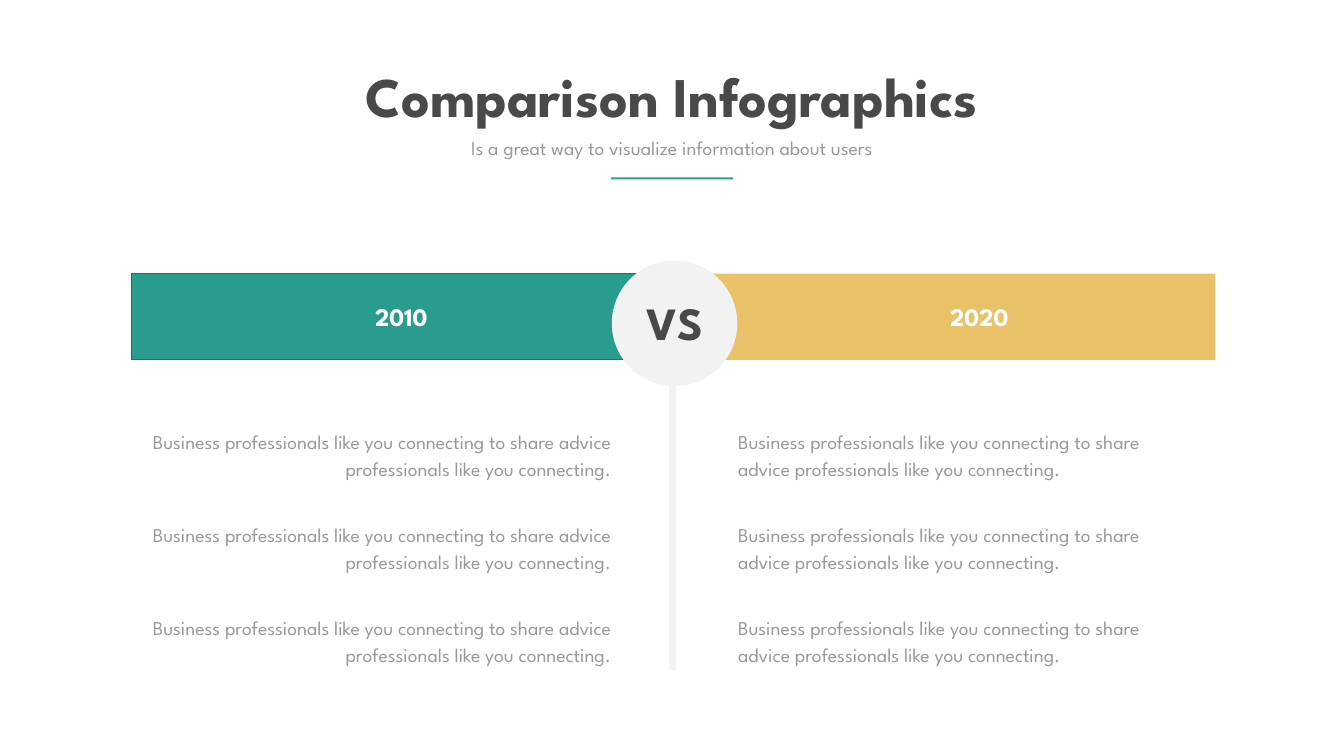
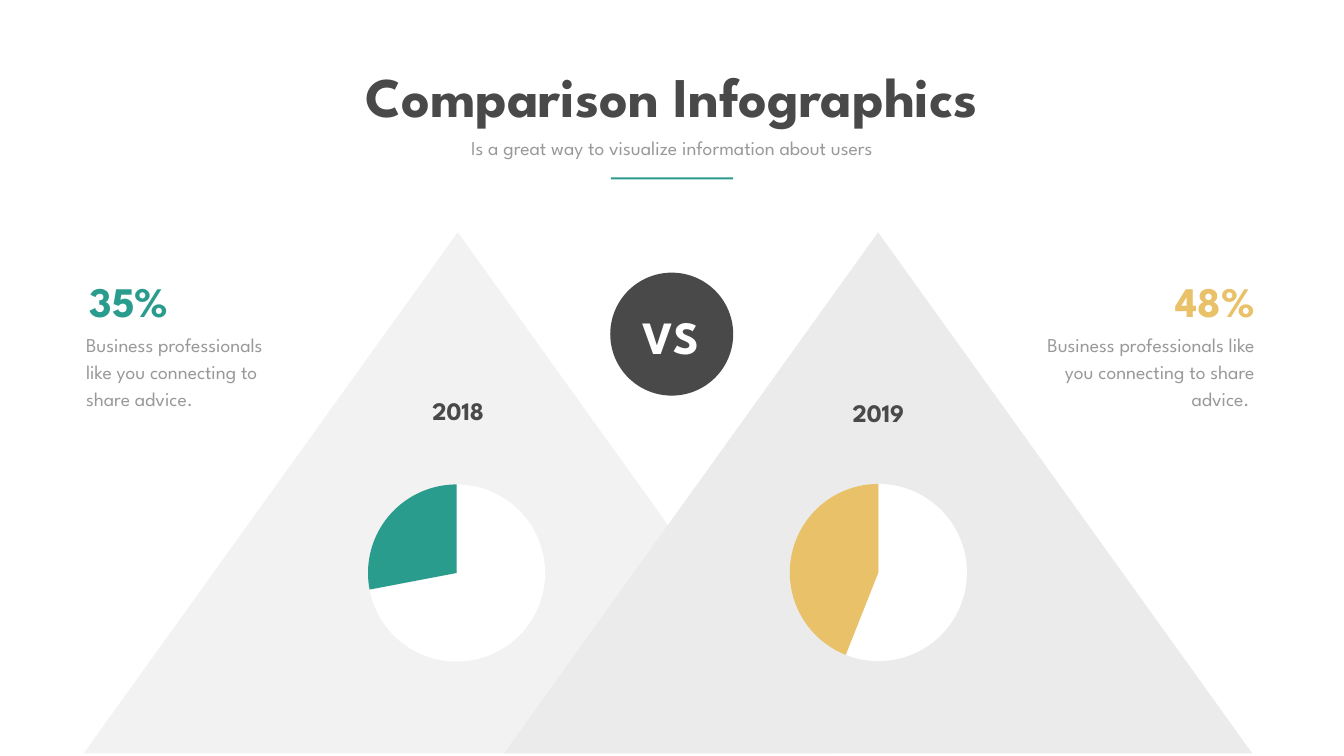
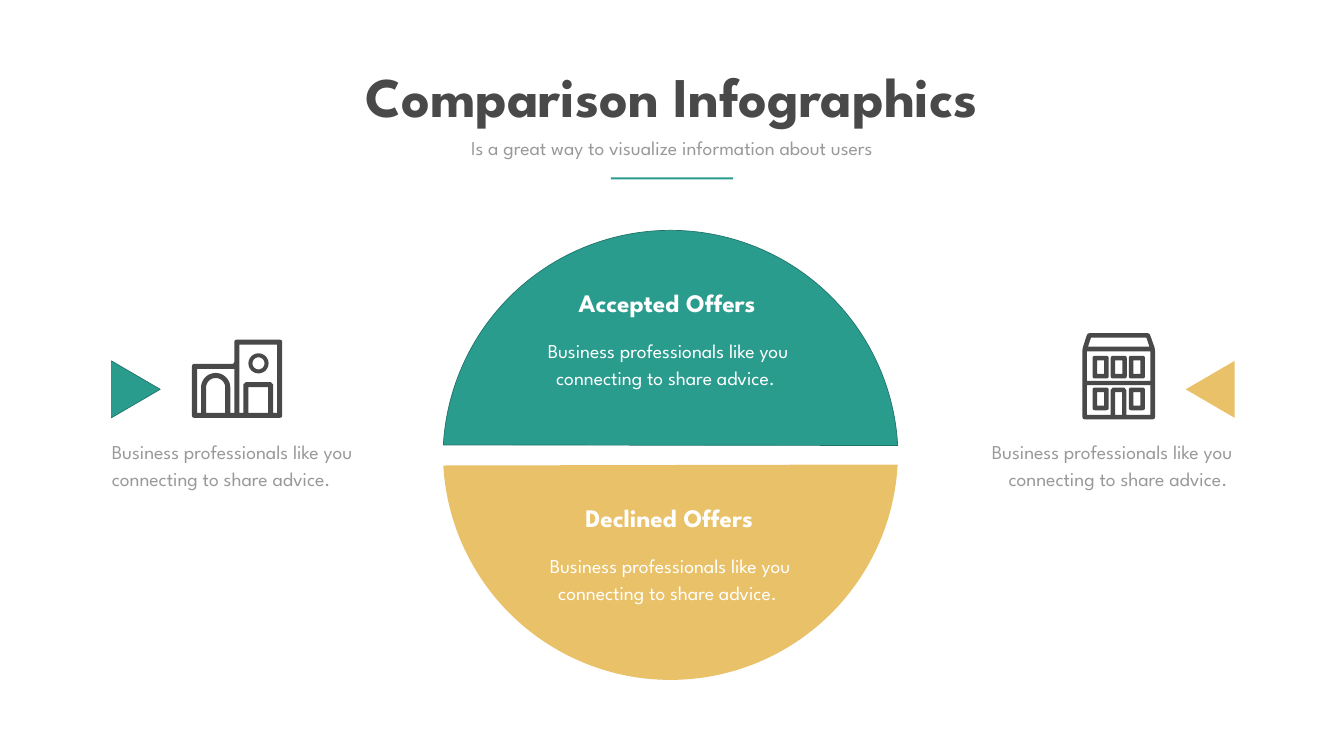
from math import cos, dist, radians, sin

from pptx import Presentation
from pptx.chart.data import CategoryChartData
from pptx.dml.color import RGBColor
from pptx.enum.chart import XL_CHART_TYPE as ChartType
from pptx.enum.shapes import MSO_CONNECTOR as Connector, MSO_SHAPE as Shape
from pptx.enum.text import MSO_ANCHOR as Anchor, MSO_AUTO_SIZE as AutoSize, PP_ALIGN as Align
from pptx.oxml import parse_xml
from pptx.oxml.ns import nsdecls
from pptx.util import Emu, Pt

PX = 9144  # EMU per px, 100 px to the inch
FONT = "League Spartan"
TEAL, DARK_TEAL, GOLD = "2A9C8E", "1F7369", "E9C169"
DARK, GREY, LIGHT, MIST, WHITE = "494949", "999999", "F2F2F2", "EBEBEB", "FFFFFF"
LEFT, CENTER, RIGHT = Align.LEFT, Align.CENTER, Align.RIGHT

OFFER = "Business professionals like you connecting to share advice."
ADVICE = ("Business professionals like you connecting to share advice "
          "professionals like you connecting.")


def px(*lengths):
    return [Emu(round(length * PX)) for length in lengths]


def color(code):
    return RGBColor.from_string(code)


def rectangle(left, top, right, bottom):
    return [(left, top), (right, top), (right, bottom), (left, bottom)]


def arc(x, y, radius, start, end, steps=24):
    """Points on an arc, with angles in degrees clockwise from the right."""
    angles = [radians(start + (end - start) * i / steps) for i in range(steps + 1)]
    return [(x + radius * cos(a), y + radius * sin(a)) for a in angles]


def rounded(corners, radius=5):
    """Corners of an outline, each replaced by a small curve."""
    points = []
    for i, corner in enumerate(corners):
        ends = []
        for other in (corners[i - 1], corners[(i + 1) % len(corners)]):
            share = radius / dist(corner, other)
            ends.append([c + (o - c) * share for c, o in zip(corner, other)])
        for t in (0, 0.25, 0.5, 0.75, 1):
            points.append(tuple(
                a * (1 - t) ** 2 + 2 * c * t * (1 - t) + b * t ** 2
                for a, c, b in zip(ends[0], corner, ends[1])))
    return points


class Slides:
    def __init__(self):
        self.deck = Presentation()
        self.deck.slide_width, self.deck.slide_height = px(2667, 1500)
        self.page = None

    def new_page(self):
        """Add a slide with the shared title, subtitle and rule."""
        self.page = self.deck.slides.add_slide(self.deck.slide_layouts[5])
        title = self.page.shapes.title
        title.left, title.top, title.width, title.height = px(621, 117, 1423, 145)
        self.set_text(title, "Comparison Infographics", 80, DARK, CENTER, bold=True, wrap=False)
        self.text((855, 265, 956, 57), "Is a great way to visualize information about users",
                  28, GREY, CENTER)
        self.shape(Shape.RECTANGLE, (1212, 352, 243, 4), TEAL)

    def set_text(self, box, words, size, ink, align, bold=False, wrap=True, spacing=None):
        frame = box.text_frame
        frame.word_wrap = wrap
        frame.auto_size = AutoSize.SHAPE_TO_FIT_TEXT
        frame.vertical_anchor = Anchor.TOP
        para = frame.paragraphs[0]
        para.text = words
        para.alignment = align
        para.line_spacing = spacing
        para.font.name, para.font.size, para.font.bold = FONT, Pt(size), bold
        para.font.color.rgb = color(ink)

    def text(self, area, words, size, ink, align=LEFT, **style):
        self.set_text(self.page.shapes.add_textbox(*px(*area)), words, size, ink, align, **style)

    def heading(self, area, words, ink=WHITE, size=36, align=CENTER, wrap=True):
        self.text(area, words, size, ink, align, bold=True, wrap=wrap)

    def body(self, area, words, align=LEFT, ink=GREY):
        self.text(area, words, 28, ink, align, spacing=Pt(38.6))

    def paint(self, shape, fill, line=None):
        shape.shadow.inherit = False
        shape.fill.solid()
        shape.fill.fore_color.rgb = color(fill)
        if line:
            shape.line.color.rgb = color(line)
            shape.line.width = Pt(1)
        else:
            shape.line.fill.background()

    def shape(self, kind, area, fill, line=None, rotation=0, adjustments=()):
        shape = self.page.shapes.add_shape(kind, *px(*area))
        shape.rotation = rotation
        for i, value in enumerate(adjustments):
            shape.adjustments[i] = value
        self.paint(shape, fill, line)

    def line(self, start, end, ink, width):
        line = self.page.shapes.add_connector(Connector.STRAIGHT, *px(*start, *end))
        line.line.color.rgb = color(ink)
        line.line.width = Pt(width)
        line.element.spPr.append(parse_xml(f"<a:effectLst {nsdecls('a')}/>"))

    def outline(self, *contours):
        """Draw one filled figure; the inner contours are holes."""
        first, *holes = [[px(*point) for point in contour] for contour in contours]
        builder = self.page.shapes.build_freeform(*first[0], scale=1.0)
        builder.add_line_segments(first[1:], close=True)
        for hole in holes:
            builder.move_to(*hole[0])
            builder.add_line_segments(hole[1:], close=True)
        self.paint(builder.convert_to_shape(), DARK)

    def pie(self, area, values, fills):
        data = CategoryChartData()
        data.categories = ["1", "2"]
        data.add_series("Series 1", values)
        chart = self.page.shapes.add_chart(ChartType.PIE, *px(*area), data).chart
        chart.has_legend = chart.has_title = False
        chart.font.name, chart.font.size = "Calibri", Pt(10)
        chart.font.color.rgb = color(GREY)
        plot = chart.plots[0]
        plot.vary_by_categories = True
        for i, fill in enumerate(fills):
            wedge = plot.series[0].points[i].format
            wedge.fill.solid()
            wedge.fill.fore_color.rgb = color(fill)
            wedge.line.fill.background()
        area_xml = chart.element.xpath(".//c:plotArea")[0]
        for layout in area_xml.xpath("c:layout"):
            area_xml.remove(layout)
        sizes = {"x": 0.19, "y": 0.035, "w": 0.62, "h": 0.93}
        area_xml.insert(0, parse_xml(
            f"<c:layout {nsdecls('c')}><c:manualLayout><c:layoutTarget val='inner'/>"
            "<c:xMode val='edge'/><c:yMode val='edge'/>"
            + "".join(f"<c:{key} val='{value}'/>" for key, value in sizes.items())
            + "</c:manualLayout></c:layout>"))

    def town_house(self):
        self.outline(
            rounded([(2148, 692), (2158, 661), (2281, 661), (2292, 692),
                     (2292, 832), (2148, 832)]),
            rectangle(2157, 697, 2283, 756),
            [(2165, 670), (2275, 670), (2281, 688), (2159, 688)],
            rectangle(2213, 778, 2227, 823),
            [(2235, 823), (2235, 774), (2231, 769), (2208, 769), (2204, 774),
             (2204, 823), (2157, 823), (2157, 764), (2283, 764), (2283, 823)])
        windows = [(2168 + 36 * column, 706) for column in range(3)]
        windows += [(2168, 769), (2240, 769)]
        for x, y in windows:
            self.outline(rounded(rectangle(x, y, x + 32, y + 45)),
                         rectangle(x + 9, y + 9, x + 23, y + 36))

    def station(self):
        self.outline(
            rounded([(465, 674), (560, 674), (560, 829), (381, 829),
                     (381, 722), (465, 722)]),
            [(391, 732), (465, 732), (465, 819), (457, 819),
             *arc(428, 769, 29, 0, -180), (399, 819), (391, 819)],
            [(447, 819), (409, 819), *arc(428, 769, 19, -180, 0)],
            rectangle(493, 768, 532, 819),
            [(550, 819), (542, 819), (542, 763), (537, 758), (488, 758), (483, 763),
             (483, 819), (475, 819), (475, 684), (550, 684)])
        self.outline(arc(513, 721, 20, 0, 360), arc(513, 721, 12, 0, 360))


def build_years(slides):
    slides.new_page()
    slides.shape(Shape.RECTANGLE, (1339, 543, 1073, 171), GOLD)
    slides.shape(Shape.RECTANGLE, (260, 543, 1073, 171), TEAL, DARK_TEAL)
    slides.line((1335, 517), (1335, 1329), LIGHT, 10)
    slides.shape(Shape.OVAL, (1214, 517, 249, 249), LIGHT)
    slides.heading((1273, 579, 133, 121), "VS", DARK, 66, wrap=False)
    for top in (842, 1025, 1211):
        slides.body((293, top, 929, 115), ADVICE, RIGHT)
        slides.body((1455, top, 919, 115), ADVICE)
    for left, year in ((519, "2010"), (1666, "2020")):
        slides.heading((left, 593, 555, 71), year)


def build_mountains(slides):
    slides.new_page()
    for left, fill in ((166, LIGHT), (1000, MIST)):
        slides.shape(Shape.ISOSCELES_TRIANGLE, (left, 461, 1485, 1034), fill)
    slides.shape(Shape.OVAL, (1211, 541, 244, 244), DARK)
    slides.heading((1244, 606, 173, 121), "VS", WHITE, 66)
    slides.pie((622, 948, 568, 378), (72, 28), (WHITE, TEAL))
    slides.pie((1459, 947, 568, 378), (56, 44), (WHITE, GOLD))
    slides.body((161, 649, 419, 169), OFFER)
    slides.body((2022, 649, 477, 169), OFFER + " ", RIGHT)
    slides.heading((760, 779, 298, 71), "2018", DARK)
    slides.heading((1594, 783, 298, 71), "2019", DARK)
    slides.heading((168, 541, 240, 111), "35%", TEAL, 60, LEFT)
    slides.heading((2253, 541, 247, 111), "48%", GOLD, 60, RIGHT)


def build_offers(slides):
    slides.new_page()
    half = (41.92, 146.09)
    slides.shape(Shape.CHORD, (879, 446, 903, 903), GOLD, None, 293.2, half)
    slides.shape(Shape.CHORD, (879, 457, 903, 903), TEAL, DARK_TEAL, 113.4, half)
    for left, top, name in ((949, 566, "Accepted Offers"), (953, 992, "Declined Offers")):
        slides.heading((left, top, 750, 71), name)
        slides.body((left + 84, top + 95, 585, 115), OFFER + " ", CENTER, WHITE)
    slides.body((212, 861, 601, 115), OFFER)
    slides.body((1854, 861, 601, 115), OFFER + " ", RIGHT)
    slides.town_house()
    slides.station()
    slides.shape(Shape.ISOSCELES_TRIANGLE, (213, 724, 113, 97), TEAL, DARK_TEAL, 90)
    slides.shape(Shape.ISOSCELES_TRIANGLE, (2345, 724, 113, 97), GOLD, None, 270)


def main():
    slides = Slides()
    for build in (build_years, build_mountains, build_offers):
        build(slides)
    slides.deck.save("out.pptx")


if __name__ == "__main__":
    main()
